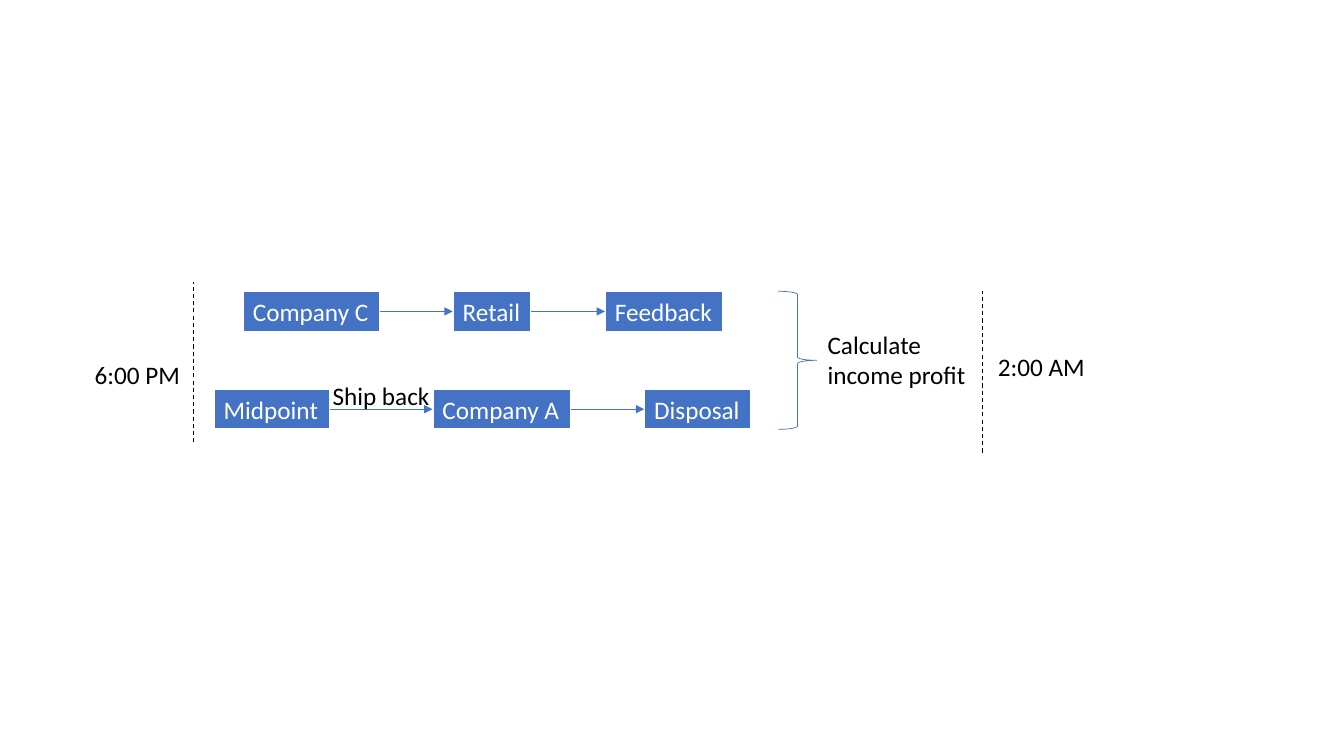
"""Build a slide of two company flows that run between two times of day."""
from lxml import etree
from pptx import Presentation
from pptx.dml.color import RGBColor
from pptx.enum.dml import MSO_LINE
from pptx.enum.shapes import MSO_CONNECTOR, MSO_SHAPE
from pptx.enum.text import MSO_ANCHOR, MSO_AUTO_SIZE, PP_ALIGN
from pptx.oxml.ns import qn
from pptx.util import Inches, Pt

STRAIGHT = MSO_CONNECTOR.STRAIGHT
RECT, BRACE = MSO_SHAPE.RECTANGLE, MSO_SHAPE.RIGHT_BRACE
DASH, FIT = MSO_LINE.DASH, MSO_AUTO_SIZE.SHAPE_TO_FIT_TEXT
LEFT, TOP = PP_ALIGN.LEFT, MSO_ANCHOR.TOP
RIGHT_SIDE, LEFT_SIDE = 3, 1

THEME = {
    "font": "Calibri", "size": 18,
    "blue": RGBColor(0x44, 0x72, 0xC4),
    "white": RGBColor(255, 255, 255),
    "black": RGBColor(0, 0, 0),
    "edge": 1.5, "thin": 0.5, "rule": 0.75,
}

ROW_TOP, ROW_STEP, BOX_TALL = 2.89, 0.97, 0.4
FLOWS = [
    [("Company C", 2.41, 1.36), ("Retail", 4.49, 0.78), ("Feedback", 6, 1.17)],
    [("Midpoint", 2.12, 1.15), ("Company A", 4.29, 1.37), ("Disposal", 6.39, 1.06)],
]
LABELS = [
    ("Calculate income profit", 8.11, 3.22, 1.63, 0.71, True),
    ("6:00 PM", 0.84, 3.52, 1.06, BOX_TALL, False),
    ("2:00 AM", 9.8, 3.44, 1.17, BOX_TALL, True),
    ("Ship back", 3.2, 3.72, 1.26, BOX_TALL, True),
]
RULES = [(1.92, 2.8, 4.39), (9.74, 2.89, 4.49)]
BRACE_LEFT, BRACE_WIDE = 7.72, 0.38


def write(shape, text, color, wrap):
    frame = shape.text_frame
    frame.word_wrap, frame.auto_size = wrap, FIT
    frame.vertical_anchor = TOP
    para = frame.paragraphs[0]
    para.text, para.alignment = text, LEFT
    font = para.font
    font.name, font.size = THEME["font"], Pt(THEME["size"])
    font.color.rgb = color


def stroke(shape, color, width):
    shape.line.color.rgb = color
    shape.line.width = Pt(width)


def add_line(x1, y1, x2, y2, color, width):
    line = shapes.add_connector(STRAIGHT, *map(Inches, (x1, y1, x2, y2)))
    stroke(line, color, width)
    etree.SubElement(line._element.spPr, qn("a:effectLst"))
    return line


def add_box(text, left, top, wide):
    box = shapes.add_shape(RECT, *map(Inches, (left, top, wide, BOX_TALL)))
    box.shadow.inherit = False
    box.fill.solid()
    box.fill.fore_color.rgb = THEME["blue"]
    stroke(box, THEME["white"], THEME["edge"])
    write(box, text, THEME["white"], False)
    return box


def link(start, end):
    line = add_line(0, 0, 1, 1, THEME["blue"], THEME["thin"])
    line.begin_connect(start, RIGHT_SIDE)
    line.end_connect(end, LEFT_SIDE)
    etree.SubElement(line.line._get_or_add_ln(), qn("a:tailEnd"), type="triangle")


deck = Presentation()
deck.slide_width, deck.slide_height = Inches(13.33), Inches(7.5)
shapes = deck.slides.add_slide(deck.slide_layouts[6]).shapes

for row, flow in enumerate(FLOWS):
    top = ROW_TOP + row * ROW_STEP
    boxes = [add_box(text, left, top, wide) for text, left, wide in flow]
    for start, end in zip(boxes, boxes[1:]):
        link(start, end)

brace_tall = ROW_STEP * (len(FLOWS) - 1) + BOX_TALL
brace = shapes.add_shape(
    BRACE, *map(Inches, (BRACE_LEFT, ROW_TOP, BRACE_WIDE, brace_tall)))
brace.shadow.inherit = False
brace.fill.background()
stroke(brace, THEME["blue"], THEME["thin"])

for x, top, base in RULES:
    add_line(x, base, x, top, THEME["black"], THEME["rule"]).line.dash_style = DASH

for text, left, top, wide, tall, wrap in LABELS:
    label = shapes.add_textbox(*map(Inches, (left, top, wide, tall)))
    write(label, text, THEME["black"], wrap)

deck.save("out.pptx")
